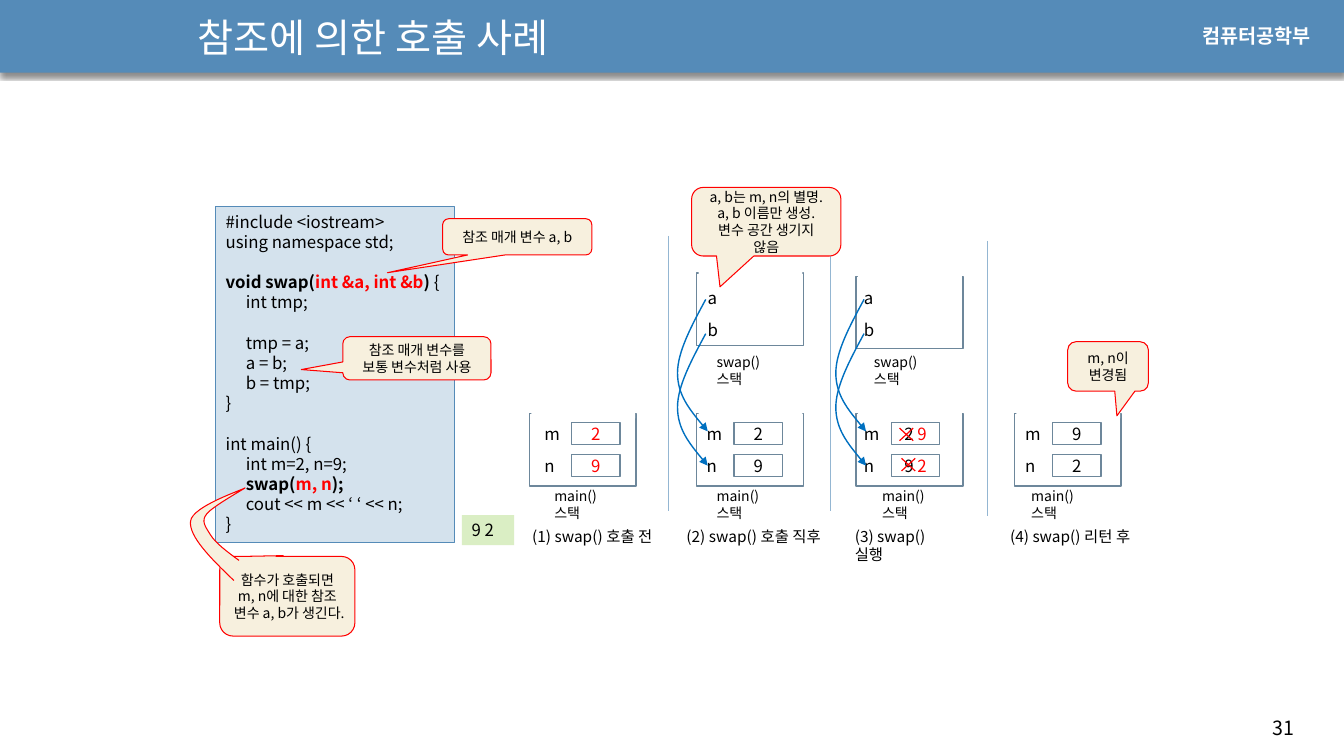
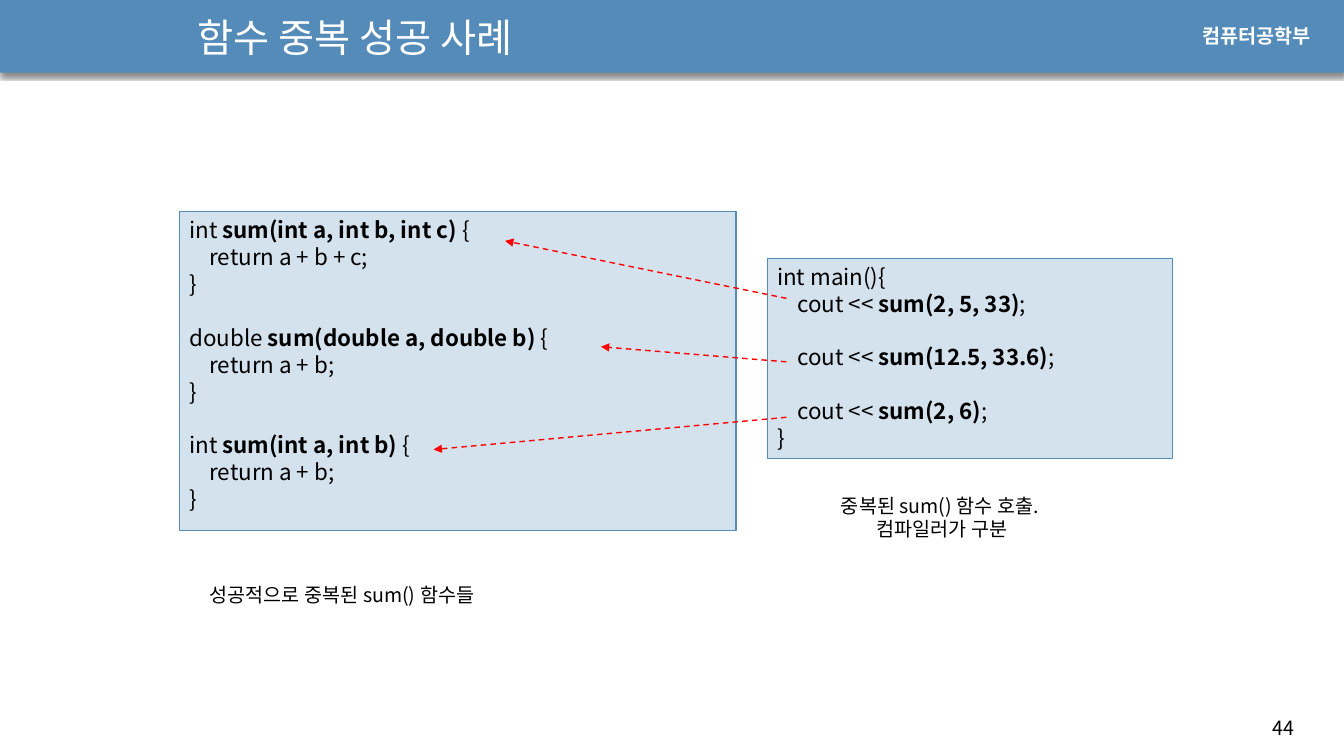
from lxml import etree
from pptx import Presentation
from pptx.dml.color import RGBColor
from pptx.enum.dml import MSO_LINE
from pptx.enum.shapes import MSO_CONNECTOR, MSO_SHAPE as SHAPE
from pptx.enum.text import MSO_ANCHOR as ANCHOR, PP_ALIGN as ALIGN
from pptx.oxml import parse_xml
from pptx.oxml.ns import nsdecls, qn
from pptx.util import Inches, Pt

COLORS = {
    "band": "558BB8", "code": "D4E2ED", "note": "F7F0DE", "output": "DAEEC4",
    "cell": "6D879B", "divider": "94B6D2", "arc": "0070C0",
    "red": "FF0000", "black": "000000", "white": "FFFFFF",
}
INK = {name: RGBColor.from_string(value) for name, value in COLORS.items()}
FONT = "Noto Sans CJK KR"
ARROW = f'<a:tailEnd {nsdecls("a")} type="triangle"/>'
TABS = f'<a:tabLst {nsdecls("a")}><a:tab pos="{Inches(0.2)}" algn="l"/></a:tabLst>'
SHADOW = (f'<a:effectLst {nsdecls("a")}><a:outerShdw blurRad="{Pt(3)}" dist="{Pt(2.4)}" '
          'dir="5400000" algn="t" rotWithShape="0"><a:srgbClr val="000000">'
          '<a:alpha val="45000"/></a:srgbClr></a:outerShdw></a:effectLst>')


def put(slide, at, lines=(), size=12, kind=None, fill=None, line=None, weight=0.75,
        align=ALIGN.LEFT, anchor=ANCHOR.TOP, color="black", font=FONT, bold=False):
    place = [Inches(v) for v in at]
    if kind is None:
        shape = slide.shapes.add_textbox(*place)
    else:
        shape = slide.shapes.add_shape(kind, *place)
        shape.shadow.inherit = False
        shape.fill.solid()
        shape.fill.fore_color.rgb = INK[fill]
        if line:
            shape.line.color.rgb = INK[line]
            shape.line.width = Pt(weight)
        else:
            shape.line.fill.background()
    frame = shape.text_frame
    frame.word_wrap = True
    frame.vertical_anchor = anchor
    for i, content in enumerate(lines):
        para = frame.paragraphs[0] if i == 0 else frame.add_paragraph()
        para.alignment = align
        para.line_spacing = Pt(size * 1.2)
        runs = [(content, bold, color)] if isinstance(content, str) else content
        if any("\t" in part[0] for part in runs):
            para._p.get_or_add_pPr().append(parse_xml(TABS))
        para.font.size = Pt(size)
        for text, strong, tint in runs:
            if not text:
                continue
            run = para.add_run()
            run.text = text
            run.font.size = Pt(size)
            run.font.name = font
            run.font.bold = strong
            run.font.color.rgb = INK[tint]
            etree.SubElement(run.font._element, qn("a:ea")).set("typeface", FONT)
    return shape


def connect(slide, start, end, color, weight):
    link = slide.shapes.add_connector(
        MSO_CONNECTOR.STRAIGHT, *[Inches(v) for v in (*start, *end)])
    link.line.color.rgb = INK[color]
    link.line.width = Pt(weight)
    etree.SubElement(link.element.spPr, qn("a:effectLst"))
    return link


prs = Presentation()
prs.slide_width, prs.slide_height = Inches(13.33), Inches(7.5)
layout = prs.slide_layouts[5]
heading = layout.placeholders[0]
heading.left, heading.top, heading.width, heading.height = [
    Inches(v) for v in (1.86, 0.05, 7.4, 0.63)]

pages = []
for title, number in (("참조에 의한 호출 사례", "31"), ("함수 중복 성공 사례", "44")):
    page = prs.slides.add_slide(layout)
    pages.append(page)
    frame = page.shapes.title.text_frame
    frame.text = title
    frame.vertical_anchor = ANCHOR.MIDDLE
    frame.paragraphs[0].alignment = ALIGN.LEFT
    title_run = frame.paragraphs[0].runs[0]
    title_run.font.size = Pt(28)
    title_run.font.name = FONT
    title_run.font.color.rgb = INK["white"]
    etree.SubElement(title_run.font._element, qn("a:ea")).set("typeface", FONT)
    put(page, (12.52, 7.05, 0.71, 0.34), [number], 14)
reference, overload = pages

band = put(reference, (0, -0.01, 13.33, 0.73), kind=SHAPE.RECTANGLE, fill="band")
band_props = band.element.spPr
band_props.replace(band_props.find(qn("a:effectLst")), parse_xml(SHADOW))
department = put(reference, (11.83, 0.19, 1.37, 0.34), ["컴퓨터공학부"], 14,
                 color="white", font="Arial", bold=True)
for shape_id, shared in enumerate((band, department), start=20):
    shared.element.nvSpPr.cNvPr.set("id", str(shape_id))
    layout.shapes.element.append(shared.element)

swap_code = [
    "#include <iostream>",
    "using namespace std;",
    "",
    [("void swap(", True, "black"), ("int &a, int &b", True, "red"),
     (") ", True, "black"), ("{", False, "black")],
    "\tint tmp;",
    "",
    "\ttmp = a;",
    "\ta = b;",
    "\tb = tmp;",
    "}",
    "",
    "int main() {",
    "\tint m=2, n=9;",
    [("\t", False, "black"), ("swap(", True, "black"), ("m, n", True, "red"),
     (");", True, "black")],
    "\tcout << m << ‘ ‘ << n;",
    "}",
]
code_panel = put(reference, (2.14, 2.05, 2.37, 3.33), swap_code, 12, SHAPE.RECTANGLE,
                 "code", "band")
code_panel.text_frame.margin_right = Inches(0.05)

red_2, red_9 = [("2", False, "red")], [("9", False, "red")]
changed_m = [("2 ", False, "black"), ("9", False, "red")]
changed_n = [("9 ", False, "black"), ("2", False, "red")]
steps = [
    (5.25, 5.3, 5.4, 5.18, 1.46, "(1) swap() 호출 전", red_2, red_9),
    (6.91, 6.91, 7.01, 6.71, 1.61, "(2) swap() 호출 직후", "2", "9"),
    (8.49, 8.47, 8.65, 8.38, 1.2, "(3) swap() 실행", changed_m, changed_n),
    (10.06, 10.07, 10.13, 9.92, 1.46, "(4) swap() 리턴 후", "9", "2"),
]
for stack_x, stack_y in [(6.91, 2.71), (8.49, 2.74)] + [(step[0], 4.1) for step in steps]:
    put(reference, (stack_x, stack_y, 1.06, 0.72), kind=SHAPE.RECTANGLE,
        fill="white", line="cell", weight=1)
    put(reference, (stack_x + 0.02, stack_y - 0.04, 1.03, 0.09), kind=SHAPE.RECTANGLE,
        fill="white")

for _, name_x, owner_x, step_x, step_width, caption, m_value, n_value in steps:
    for row, (name, value) in enumerate((("m", m_value), ("n", n_value))):
        top = 4.15 + 0.32 * row
        put(reference, (name_x, top, 0.53, 0.3), [name])
        put(reference, (name_x + 0.37, top + 0.04, 0.48, 0.22), [value], 12,
            SHAPE.RECTANGLE, "white", "cell", 1, ALIGN.CENTER, ANCHOR.MIDDLE)
    put(reference, (owner_x, 4.79, 0.9, 0.27), ["main() 스택"], 10)
    put(reference, (step_x, 5.18, step_width, 0.29), [caption], 11)

for alias_x, owner_x in ((6.92, 7.01), (8.47, 8.57)):
    put(reference, (alias_x, 2.81, 0.53, 0.3), ["a"])
    put(reference, (alias_x, 3.12, 0.53, 0.3), ["b"])
    put(reference, (owner_x, 3.46, 0.9, 0.27), ["swap() 스택"], 10)

for divider_x, divider_y in ((6.63, 2.34), (8.24, 2.34), (9.79, 2.39)):
    connect(reference, (divider_x, divider_y), (divider_x, divider_y + 2.73), "divider", 0.79)

for cross_x, cross_y in ((8.86, 4.19), (8.88, 4.49)):
    cross = put(reference, (cross_x, cross_y, 0.26, 0.24), kind=SHAPE.MATH_MULTIPLY, fill="red")
    cross.adjustments[0] = 0.05

callouts = [
    ((6.86, 1.86, 1.48, 0.68), (-0.31, 0.95),
     ["a, b는 m, n의 별명.", "a, b 이름만 생성.", "변수 공간 생기지 않음"]),
    ((10.59, 3.39, 0.8, 0.49), (0.11, 1), ["m, n이 변경됨"]),
    ((4.39, 2.17, 1.48, 0.36), (-0.87, 0.99), ["참조 매개 변수 a, b"]),
    ((3.4, 3.34, 1.47, 0.43), (-0.78, 0.26), ["참조 매개 변수를 보통 변수처럼 사용"]),
    ((2.18, 5.52, 1.34, 0.79), (-0.03, -0.51),
     ["함수가 호출되면 m, n에 대한 참조 변수 a, b가 생긴다."]),
]
for at, tip, remark in callouts:
    callout = put(reference, at, remark, 10, SHAPE.ROUNDED_RECTANGULAR_CALLOUT, "note", "red",
                  align=ALIGN.CENTER, anchor=ANCHOR.MIDDLE)
    callout.adjustments[0], callout.adjustments[1] = tip

alias_arc = [(0.28, 0), (0.14, 0.26), (0, 0.52), (0, 0.73), (0, 0.95), (0.15, 1.13), (0.3, 1.31)]
call_tail = [
    (2.32, 5.76), (2.09, 5.54), (1.87, 5.32), (1.89, 5.17), (1.91, 5.02), (2.41, 4.86),
    (2.43, 4.84), (2.46, 4.83), (2.11, 5.02), (2.05, 5.1), (1.99, 5.17), (2.04, 5.23),
    (2.09, 5.31), (2.14, 5.39), (2.26, 5.48), (2.37, 5.56),
]
curves = [([(x + dx, y + dy) for dx, dy in alias_arc], True)
          for x in (6.72, 8.29) for y in (2.97, 3.31)]
for knots, is_arrow in curves + [(call_tail, False)]:
    (start_x, start_y), *bends = [(Inches(x), Inches(y)) for x, y in knots]
    builder = reference.shapes.build_freeform(start_x, start_y)
    builder.add_line_segments(bends, close=False)
    curve = builder.convert_to_shape()
    outline = next(curve.element.iter(qn("a:path")))
    straight = outline.findall(qn("a:lnTo"))
    for i in range(0, len(straight), 3):
        bezier = etree.SubElement(outline, qn("a:cubicBezTo"))
        for segment in straight[i:i + 3]:
            bezier.append(segment[0])
            outline.remove(segment)
    curve.shadow.inherit = False
    curve.line.color.rgb = INK["arc" if is_arrow else "red"]
    curve.line.width = Pt(1 if is_arrow else 0.75)
    if is_arrow:
        curve.fill.background()
        curve.line._get_or_add_ln().append(parse_xml(ARROW))
    else:
        curve.fill.solid()
        curve.fill.fore_color.rgb = INK["note"]

put(reference, (4.58, 5.11, 0.52, 0.3), ["9 2"], 12, SHAPE.RECTANGLE, "output")

signatures = [
    ("int ", "sum(int a, int b, int c) ", "a + b + c"),
    ("double ", "sum(double a, double b) ", "a + b"),
    ("int ", "sum(int a, int b) ", "a + b"),
]
definitions = []
for result, signature, total in signatures:
    definitions += [
        [(result, False, "black"), (signature, True, "black"), ("{", False, "black")],
        f"\treturn {total};", "}", ""]
put(overload, (1.78, 2.1, 5.52, 3.16), definitions[:-1], 16, SHAPE.RECTANGLE, "code", "band")

calls = ["int main(){"]
for call in ("sum(2, 5, 33)", "sum(12.5, 33.6)", "sum(2, 6)"):
    calls += [[("\tcout << ", False, "black"), (call, True, "black"), (";", False, "black")], ""]
calls[-1] = "}"
put(overload, (7.61, 2.56, 4.02, 1.99), calls, 16, SHAPE.RECTANGLE, "code", "band")

put(overload, (1.98, 5.73, 4.05, 0.34), ["성공적으로 중복된 sum() 함수들"], 14)
put(overload, (7.93, 4.85, 2.83, 0.57), ["중복된 sum() 함수 호출. ", "컴파일러가 구분"], 14,
    align=ALIGN.CENTER)

for call_y, match in ((2.96, (5.01, 2.39)), (3.59, (5.96, 3.44)), (4.14, (4.3, 4.46))):
    pointer = connect(overload, (7.8, call_y), match, "red", 1)
    pointer.line.dash_style = MSO_LINE.DASH
    pointer.line._get_or_add_ln().append(parse_xml(ARROW))

prs.save("out.pptx")
